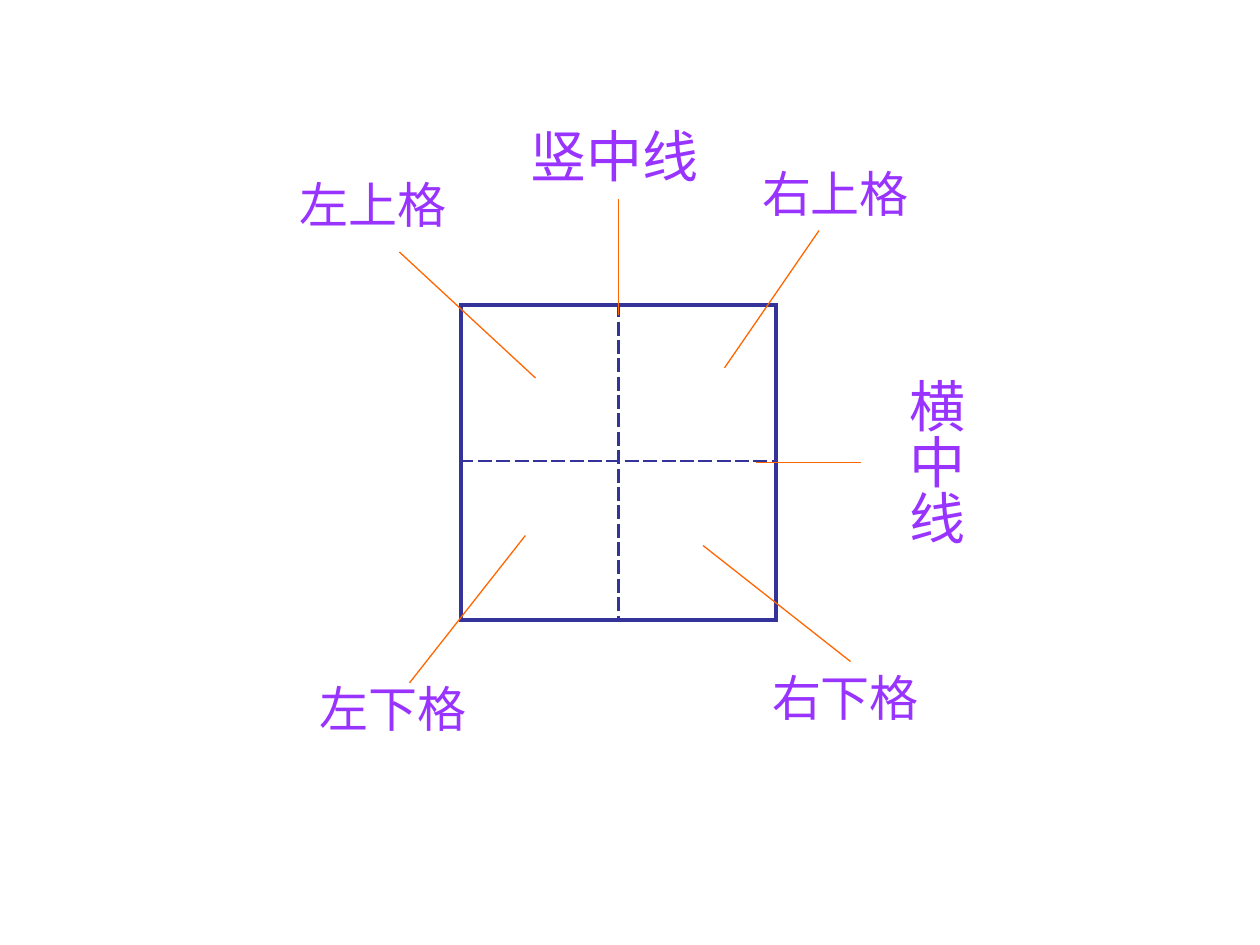
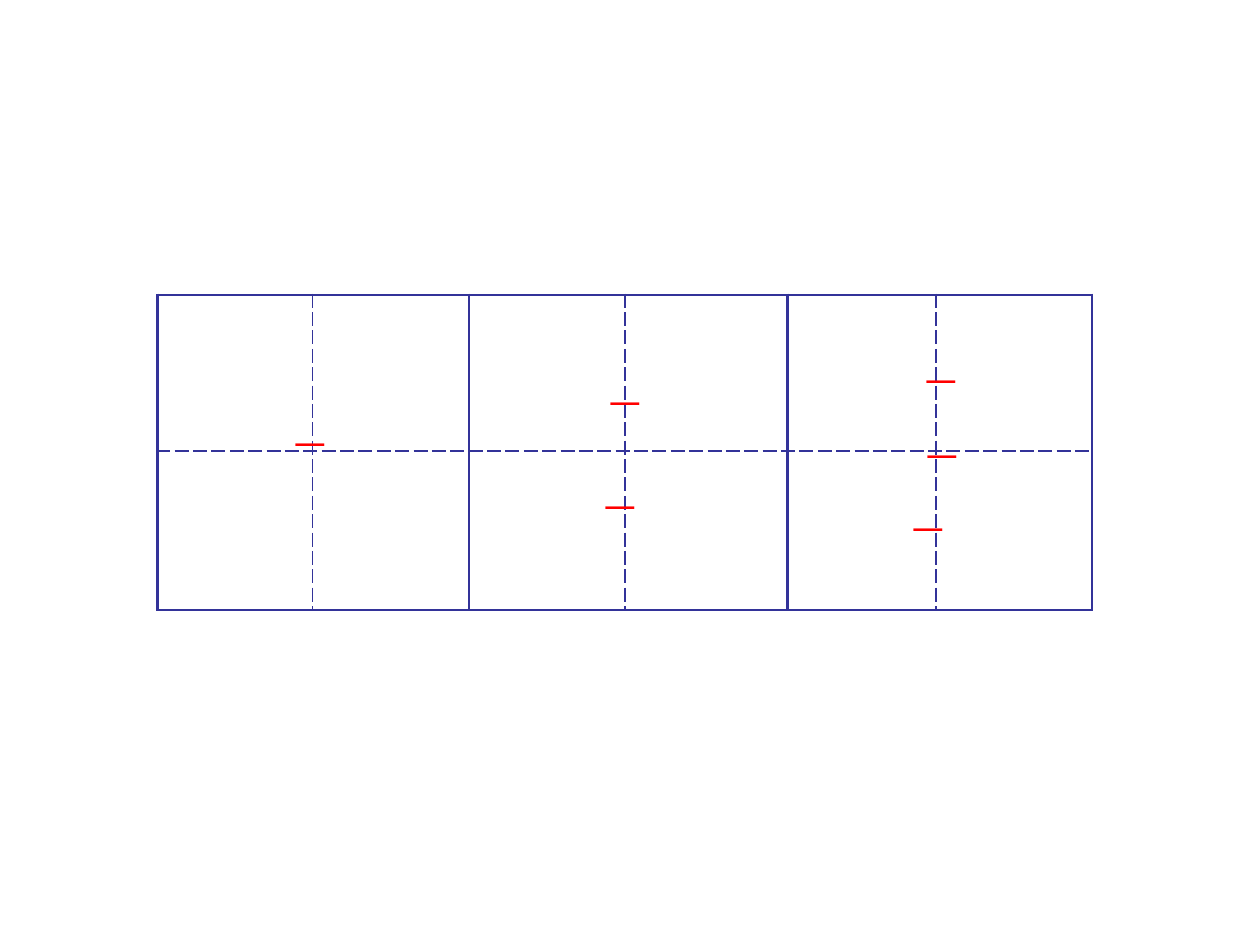
from lxml import etree
from pptx import Presentation
from pptx.dml.color import RGBColor
from pptx.enum.shapes import MSO_CONNECTOR
from pptx.enum.text import MSO_ANCHOR, PP_ALIGN
from pptx.oxml.ns import qn
from pptx.util import Inches, Pt

STRAIGHT = MSO_CONNECTOR.STRAIGHT
MIDDLE = MSO_ANCHOR.MIDDLE
CENTER = PP_ALIGN.CENTER

GRID_COLOR = "333399"
LEADER_COLOR = "FF6600"
LABEL_COLOR = "9933FF"
STROKE_COLOR = "FF0000"
LABEL_FONT = "Times New Roman"
CHINESE_FONT = "Noto Sans CJK SC"
ROW_HEIGHTS = [1.24, 1.26]
BLANK_LAYOUT = 6

CALLOUTS = [
    ("竖中线", (4.09, 0.91, 1.58, 0.64), 32, (4.91, 2.5), (4.91, 1.58)),
    ("左下格", (2.33, 5.33, 1.58, 0.57), 28, (3.25, 5.42), (4.17, 4.25)),
    ("右下格", (5.92, 5.25, 1.58, 0.57), 28, (5.58, 4.33), (6.75, 5.25)),
    ("左上格", (2.17, 1.33, 1.58, 0.57), 28, (3.17, 2), (4.25, 3)),
    ("右上格", (5.92, 1.25, 1.42, 0.57), 28, (5.75, 2.92), (6.5, 1.83)),
    ("横中线", (7.06, 2.9, 0.73, 1.67), 32, (6, 3.67), (6.83, 3.67)),
]
VERTICAL_LABEL = "横中线"

STROKES = [
    (1.5, 3.37, 1.92),
    (4.42, 3.04, 1.08),
    (3.92, 3.87, 2),
    (6.9, 2.87, 1.14),
    (7, 3.46, 0.96),
    (6.33, 4.04, 2.08),
]


def rgb(color):
    return RGBColor.from_string(color)


def add_line_element(parent, tag, color, width, dash="solid"):
    line = etree.SubElement(parent, qn(tag), w=str(Pt(width)))
    fill = etree.SubElement(line, qn("a:solidFill"))
    etree.SubElement(fill, qn("a:srgbClr"), val=color)
    etree.SubElement(line, qn("a:prstDash"), val=dash)
    return line


def style_grid_cell(cell, row, column, solid_width, dash_width):
    properties = cell._tc.get_or_add_tcPr()
    solid_sides = {"L" if column % 2 == 0 else "R", "T" if row == 0 else "B"}
    for side in "LRTB":
        if side in solid_sides:
            add_line_element(properties, f"a:ln{side}", GRID_COLOR, solid_width)
        else:
            add_line_element(properties, f"a:ln{side}", GRID_COLOR, dash_width, "dash")
    cell.fill.background()


def add_writing_grid(slide, left, top, column_widths, solid_width, dash_width):
    frame = slide.shapes.add_table(
        len(ROW_HEIGHTS), len(column_widths), Inches(left), Inches(top),
        Inches(sum(column_widths)), Inches(sum(ROW_HEIGHTS)))
    table = frame.table
    table.first_row = False
    table.horz_banding = False
    for column, width in zip(table.columns, column_widths):
        column.width = Inches(width)
    for row_index, height in enumerate(ROW_HEIGHTS):
        table.rows[row_index].height = Inches(height)
        for column_index in range(len(column_widths)):
            style_grid_cell(table.cell(row_index, column_index), row_index,
                            column_index, solid_width, dash_width)


def add_text(shapes, text, box, size, color, font, wrap):
    shape = shapes.add_textbox(*map(Inches, box))
    frame = shape.text_frame
    frame.word_wrap = wrap
    frame.vertical_anchor = MIDDLE
    frame.text = text
    paragraph = frame.paragraphs[0]
    paragraph.alignment = CENTER
    run = paragraph.runs[0]
    run.font.size = Pt(size)
    run.font.color.rgb = rgb(color)
    run.font.name = font
    etree.SubElement(run._r.get_or_add_rPr(), qn("a:ea"), typeface=CHINESE_FONT)
    return shape


def make_vertical(shape):
    frame = shape.text_frame
    frame._txBody.bodyPr.set("vert", "eaVert")
    frame.margin_left = frame.margin_right = Inches(0.05)
    frame.margin_top = frame.margin_bottom = Inches(0.1)


def add_leader(shapes, start, end):
    connector = shapes.add_connector(STRAIGHT, *map(Inches, start + end))
    connector.line.color.rgb = rgb(LEADER_COLOR)
    connector.line.width = Pt(0.75)
    etree.SubElement(connector._element.spPr, qn("a:effectLst"))


def add_callout(slide, text, box, size, start, end):
    group = slide.shapes.add_group_shape()
    add_leader(group.shapes, start, end)
    label = add_text(group.shapes, text, box, size, LABEL_COLOR, LABEL_FONT, True)
    if text == VERTICAL_LABEL:
        make_vertical(label)


def add_stroke(slide, left, top, width):
    shape = add_text(slide.shapes, "一", (left, top, width, 0.33), 18,
                     STROKE_COLOR, CHINESE_FONT, False)
    properties = shape.text_frame.paragraphs[0].runs[0]._r.get_or_add_rPr()
    outline = add_line_element(properties, "a:ln", STROKE_COLOR, 0.75)
    properties.insert(0, outline)


def add_blank_slide(presentation):
    return presentation.slides.add_slide(presentation.slide_layouts[BLANK_LAYOUT])


def build_grid_parts(presentation):
    slide = add_blank_slide(presentation)
    add_writing_grid(slide, 3.66, 2.42, [1.25, 1.25], 2.21, 1.47)
    for callout in CALLOUTS:
        add_callout(slide, *callout)


def build_stroke_practice(presentation):
    slide = add_blank_slide(presentation)
    add_writing_grid(slide, 1.25, 2.34, [1.23, 1.24, 1.24, 1.29, 1.18, 1.24], 1.47, 1.08)
    for stroke in STROKES:
        add_stroke(slide, *stroke)


def main():
    presentation = Presentation()
    presentation.slide_width = Inches(10)
    presentation.slide_height = Inches(7.5)
    build_grid_parts(presentation)
    build_stroke_practice(presentation)
    presentation.save("out.pptx")


if __name__ == "__main__":
    main()
